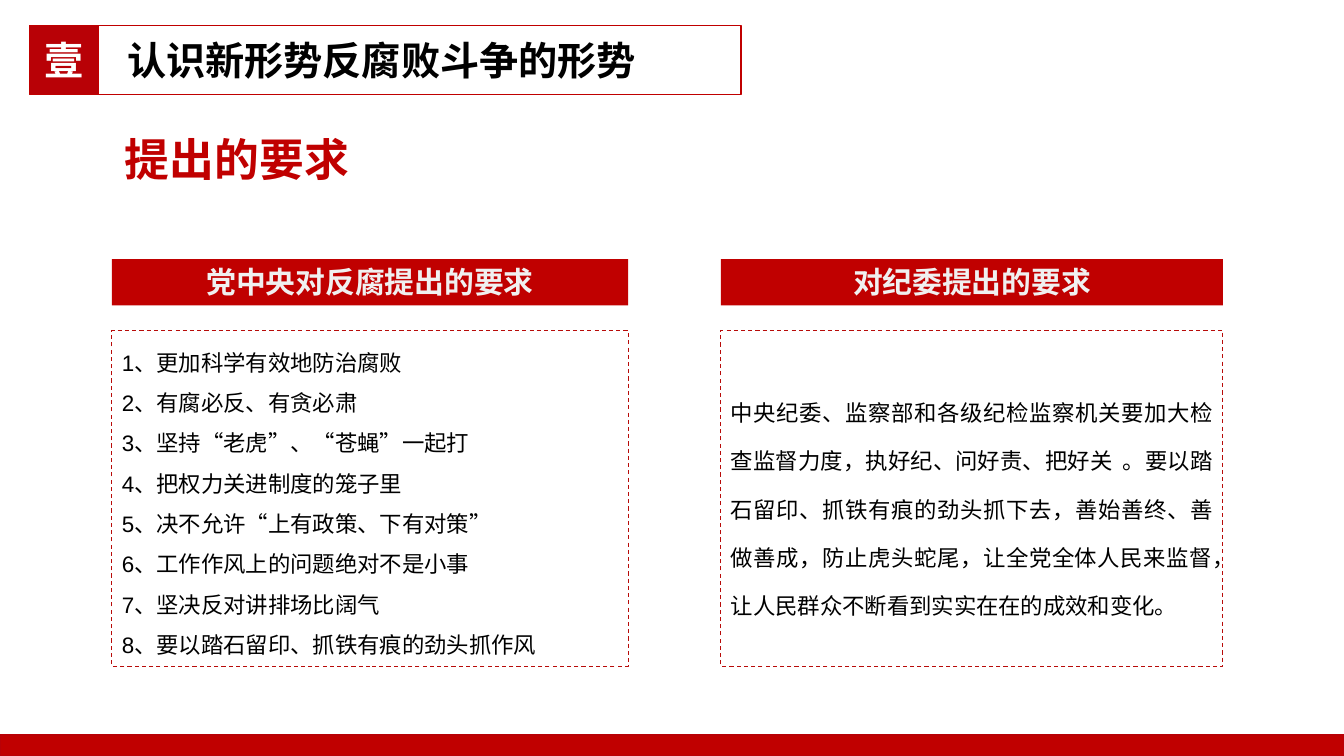
from pptx import Presentation
from pptx.dml.color import RGBColor
from pptx.enum import dml, lang, shapes, text
from pptx.util import Inches, Pt

RED, DARK, EDGE = "C00000", "B80106", "B80B09"
LEFT, MID, RIGHT = text.PP_ALIGN.LEFT, text.PP_ALIGN.CENTER, text.PP_ALIGN.JUSTIFY
TOP, CORE = text.MSO_ANCHOR.TOP, text.MSO_ANCHOR.MIDDLE

RULES = [
    "1、更加科学有效地防治腐败",
    "2、有腐必反、有贪必肃",
    "3、坚持“老虎”、“苍蝇”一起打",
    "4、把权力关进制度的笼子里",
    "5、决不允许“上有政策、下有对策”",
    "6、工作作风上的问题绝对不是小事",
    "7、坚决反对讲排场比阔气",
    "8、要以踏石留印、抓铁有痕的劲头抓作风",
]
DUTY = [
    "中央纪委、监察部和各级纪检监察机关要加大检查监督力度，执好纪、问好责、把好关  。"
    "要以踏石留印、抓铁有痕的劲头抓下去，善始善终、善做善成，防止虎头蛇尾，"
    "让全党全体人民来监督，让人民群众不断看到实实在在的成效和变化。"
]


def tint(code):
    return RGBColor.from_string(code)


def place(item, x, y, w, h):
    item.left, item.top, item.width, item.height = map(Inches, (x, y, w, h))


def write(item, lines, size=16, color="000000", bold=False, align=LEFT,
          anchor=TOP, space=1.0, inset=0.1, wrap=True):
    frame = item.text_frame
    frame.auto_size = text.MSO_AUTO_SIZE.NONE
    frame.word_wrap = wrap
    frame.vertical_anchor = anchor
    frame.margin_left = Inches(inset)
    for i, line in enumerate(lines):
        para = frame.add_paragraph() if i else frame.paragraphs[0]
        para.alignment = align
        para.line_spacing = space
        run = para.add_run()
        run.text = line
        font = run.font
        font.name, font.size, font.bold = "Arial", Pt(size), bold
        font.color.rgb = tint(color)
        font.language_id = lang.MSO_LANGUAGE_ID.SIMPLIFIED_CHINESE


def edge(item, color, width=1, dash=False):
    item.line.color.rgb = tint(color)
    item.line.width = Pt(width)
    if dash:
        item.line.dash_style = dml.MSO_LINE.DASH


def box(slide, spot, fill=None, line=None, **style):
    item = slide.shapes.add_shape(shapes.MSO_SHAPE.RECTANGLE, *map(Inches, spot))
    item.shadow.inherit = False
    if fill:
        item.fill.solid()
        item.fill.fore_color.rgb = tint(fill)
    else:
        item.fill.background()
    if line:
        edge(item, line, **style)
    else:
        item.line.fill.background()
    return item


def panel(slide, x, w, head, lines, **style):
    frame = box(slide, (x, 3.28, w, 3.33), line=EDGE, width=0.75, dash=True)
    write(frame, lines, **style)
    bar = box(slide, (x, 2.57, w, 0.46), fill=RED)
    write(bar, [head], size=21.3, color="F0F0F0", bold=True, align=MID)


def main():
    deck = Presentation()
    deck.slide_width, deck.slide_height = Inches(13.33), Inches(7.5)
    slide = deck.slides.add_slide(deck.slide_layouts[5])

    # Footer band
    box(slide, (0, 7.29, 13.33, 0.21), fill=RED, line=DARK)

    # Chapter number and title
    mark = box(slide, (0.29, 0.25, 0.69, 0.69), fill=DARK, line=RED)
    write(mark, ["壹"], size=28, color="FFFFFF", bold=True, align=MID, anchor=CORE)
    title = slide.shapes.title
    place(title, 0.98, 0.25, 6.37, 0.69)
    edge(title, RED)
    write(title, ["认识新形势反腐败斗争的形势"], size=28, bold=True,
          anchor=CORE, inset=0.28)

    # Section heading
    topic = slide.shapes.add_textbox(*map(Inches, (1.14, 1.26, 2.45, 0.64)))
    write(topic, ["提出的要求"], size=32, color=RED, bold=True, wrap=False)

    # Two panels of demands
    panel(slide, 1.11, 5.12, "党中央对反腐提出的要求", RULES, space=1.5)
    panel(slide, 7.15, 4.98, "对纪委提出的要求", DUTY, align=RIGHT,
          anchor=CORE, space=1.8)

    deck.save("out.pptx")


if __name__ == "__main__":
    main()
